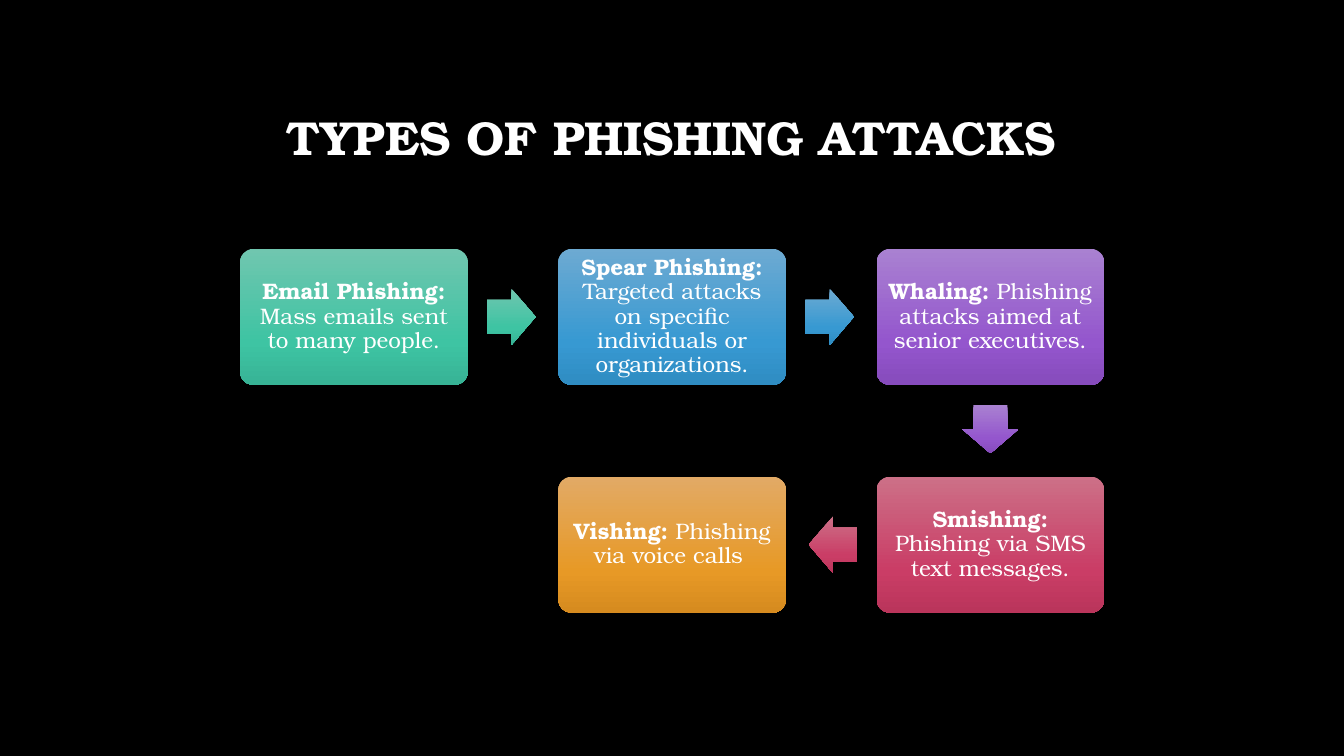
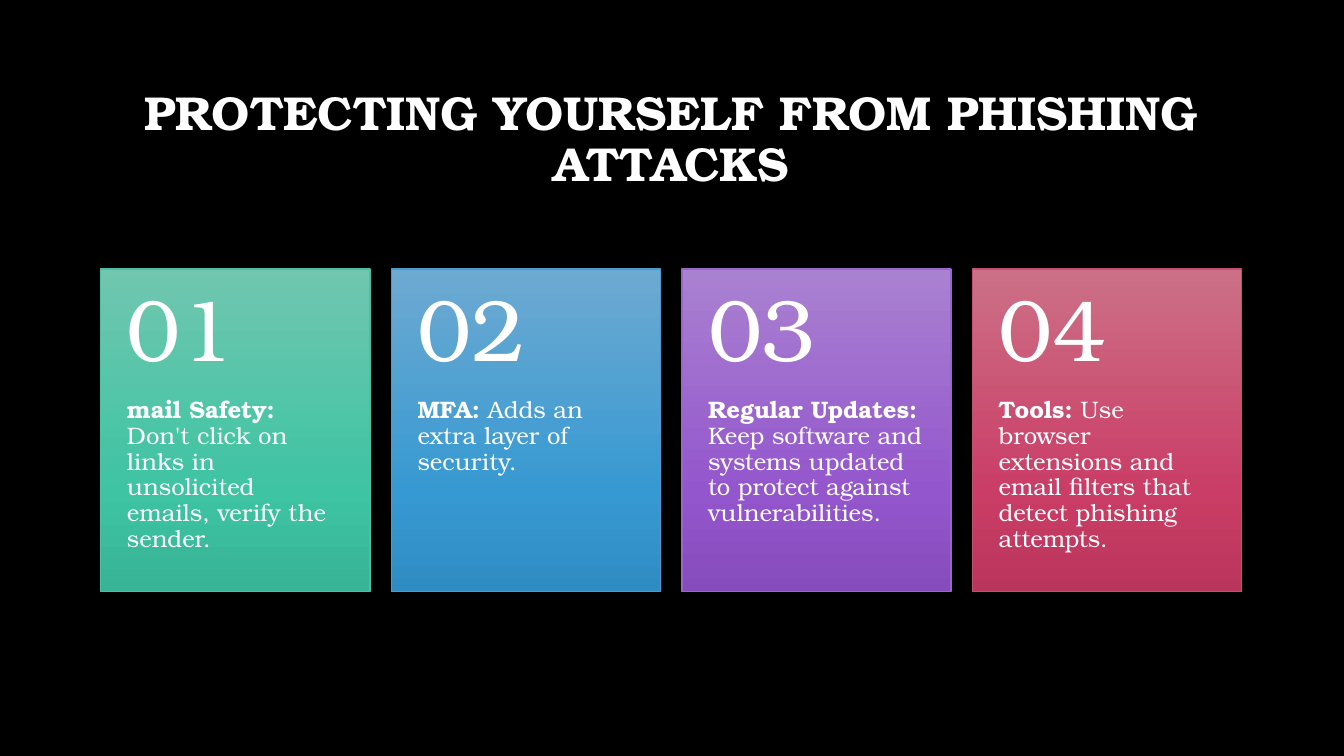
import copy
from collections import namedtuple
from dataclasses import dataclass

import pptx
import pptx.dml.color
import pptx.enum.shapes
import pptx.enum.text
import pptx.oxml.ns
import pptx.util

Cm = pptx.util.Cm
SHAPES = pptx.enum.shapes.MSO_SHAPE
ALIGN = pptx.enum.text.PP_ALIGN
ANCHOR = pptx.enum.text.MSO_ANCHOR

Box = namedtuple("Box", "left top width height")  # all in centimetres
Tint = namedtuple("Tint", "light main deep edge")


@dataclass(frozen=True)
class Theme:
    font: str = "TeX Gyre Bonum"
    background: str = "000000"
    text: str = "FFFFFF"
    title_size: int = 34
    step_size: int = 16
    card_size: int = 17
    number_size: int = 62
    line_spacing: float = 0.9
    stops: tuple = (0, 0.69, 1)
    tints: tuple = (
        Tint("70C6AF", "3EC4A3", "37B395", "50BEA3"),
        Tint("6DAAD2", "3799D2", "2F8CC2", "4A9CCC"),
        Tint("A981D1", "9456CD", "864BBC", "9A66CA"),
        Tint("CC7087", "CA3D66", "BA355B", "C54F71"),
        Tint("E2AA66", "E79926", "D68B1F", "E79926"),
    )


THEME = Theme()
TITLE_BOX = Box(2.54, 1.7, 28.75, 3.68)
FLOW_BOX = Box(6.05, 6.27, 21.78, 9.17)
CARDS_BOX = Box(2.54, 6.78, 28.75, 8.13)

# Column, row, label and description of each step
STEPS = [
    (0, 0, "Email Phishing:", " Mass emails sent to many people."),
    (1, 0, "Spear Phishing:", " Targeted attacks on specific individuals or organizations."),
    (2, 0, "Whaling:", " Phishing attacks aimed at senior executives."),
    (2, 1, "Smishing:", " Phishing via SMS text messages."),
    (1, 1, "Vishing:", " Phishing via voice calls "),
]
CARDS = [
    ("mail Safety:", " Don't click on links in unsolicited emails, verify the sender."),
    ("MFA:", " Adds an extra layer of security."),
    ("Regular Updates:", " Keep software and systems updated to protect against vulnerabilities."),
    ("Tools:", " Use browser extensions and email filters that detect phishing attempts."),
]
# Arrow preset for each direction of travel (columns, rows)
ARROWS = {
    (1, 0): SHAPES.RIGHT_ARROW,
    (0, 1): SHAPES.DOWN_ARROW,
    (-1, 0): SHAPES.LEFT_ARROW,
}


def rgb(value):
    return pptx.dml.color.RGBColor.from_string(value)


def place(box):
    return [Cm(length) for length in box]


def write(frame, spans, size, align, anchor, insets):
    """Fill a text frame with (text, bold) spans; insets: left, top, right, bottom."""
    frame.word_wrap = True
    frame.vertical_anchor = anchor
    (frame.margin_left, frame.margin_top,
     frame.margin_right, frame.margin_bottom) = place(insets)
    para = frame.paragraphs[0]
    para.alignment = align
    para.line_spacing = THEME.line_spacing
    for text, bold in spans:
        span = para.add_run()
        span.text = text
        span.font.name = THEME.font
        span.font.size = pptx.util.Pt(size)
        span.font.bold = bold
        span.font.color.rgb = rgb(THEME.text)


def add_text(page, box, *style):
    write(page.shapes.add_textbox(*place(box)).text_frame, *style)


def add_gradient_shape(page, preset, box, tint):
    shape = page.shapes.add_shape(preset, *place(box))
    shape.shadow.inherit = False
    shape.line.fill.background()
    shape.fill.gradient()
    shape.fill.gradient_angle = 270
    # A new gradient has two stops: add the middle one
    stop_list = shape.element.find(".//" + pptx.oxml.ns.qn("a:gsLst"))
    stop_list.insert(1, copy.deepcopy(stop_list[0]))
    for stop, position, colour in zip(shape.fill.gradient_stops, THEME.stops, tint):
        stop.position = position
        stop.color.rgb = rgb(colour)
    return shape


def add_page(deck, title):
    page = deck.slides.add_slide(deck.slide_layouts[6])
    page.background.fill.solid()
    page.background.fill.fore_color.rgb = rgb(THEME.background)
    add_text(page, TITLE_BOX, [(title, True)], THEME.title_size,
             ALIGN.CENTER, ANCHOR.MIDDLE, (0.25, 0.13, 0.25, 0.13))
    return page


def add_flow(page, area):
    """Steps on a grid of three columns and two rows, joined by block arrows."""
    width, height = 5.74, 3.43
    pitch_x = (area.width - width) / 2
    pitch_y = area.height - height
    arrow_length, arrow_breadth, nudge = 1.22, 1.42, 0.04

    for index, (column, row, label, description) in enumerate(STEPS):
        tint = THEME.tints[index]
        left = area.left + column * pitch_x
        top = area.top + row * pitch_y

        # Step
        step = add_gradient_shape(page, SHAPES.ROUNDED_RECTANGLE,
                                  Box(left, top, width, height), tint)
        step.adjustments[0] = 0.1
        write(step.text_frame, [(label, True), (description, False)],
              THEME.step_size, ALIGN.CENTER, ANCHOR.MIDDLE, (0.18,) * 4)

        # Arrow to the next step, set slightly towards this one
        if index + 1 < len(STEPS):
            across = STEPS[index + 1][0] - column
            down = STEPS[index + 1][1] - row
            centre_x = left + width / 2 + across * (pitch_x / 2 - nudge)
            centre_y = top + height / 2 + down * (pitch_y / 2 - nudge)
            wide, high = ((arrow_length, arrow_breadth) if across
                          else (arrow_breadth, arrow_length))
            arrow = add_gradient_shape(
                page, ARROWS[across, down],
                Box(centre_x - wide / 2, centre_y - high / 2, wide, high), tint)
            arrow.adjustments[0] = 0.6
            arrow.adjustments[1] = 0.5


def add_card(page, box, number, label, description, tint):
    card = add_gradient_shape(page, SHAPES.RECTANGLE, box, tint)
    card.line.color.rgb = rgb(tint.edge)
    card.line.width = pptx.util.Pt(1)

    # Description below, number above
    split = box.height * 0.4
    add_text(page, Box(box.left, box.top + split, box.width, box.height - split),
             [(label, True), (description, False)], THEME.card_size,
             ALIGN.LEFT, ANCHOR.TOP, (0.66, 0, 0.66, 0.91))
    add_text(page, box._replace(height=split), [(f"{number:02d}", False)],
             THEME.number_size, ALIGN.LEFT, ANCHOR.MIDDLE, (0.66, 0.46, 0.66, 0.46))


def add_card_row(page, area):
    gap = 0.54
    width = (area.width - gap * (len(CARDS) - 1)) / len(CARDS)
    for index, (label, description) in enumerate(CARDS):
        box = Box(area.left + index * (width + gap), area.top, width, area.height)
        add_card(page, box, index + 1, label, description, THEME.tints[index])


def main():
    deck = pptx.Presentation()
    deck.slide_width, deck.slide_height = Cm(33.87), Cm(19.05)
    add_flow(add_page(deck, "TYPES OF PHISHING ATTACKS"), FLOW_BOX)
    add_card_row(add_page(deck, "PROTECTING YOURSELF FROM PHISHING ATTACKS"), CARDS_BOX)
    deck.save("out.pptx")


if __name__ == "__main__":
    main()
